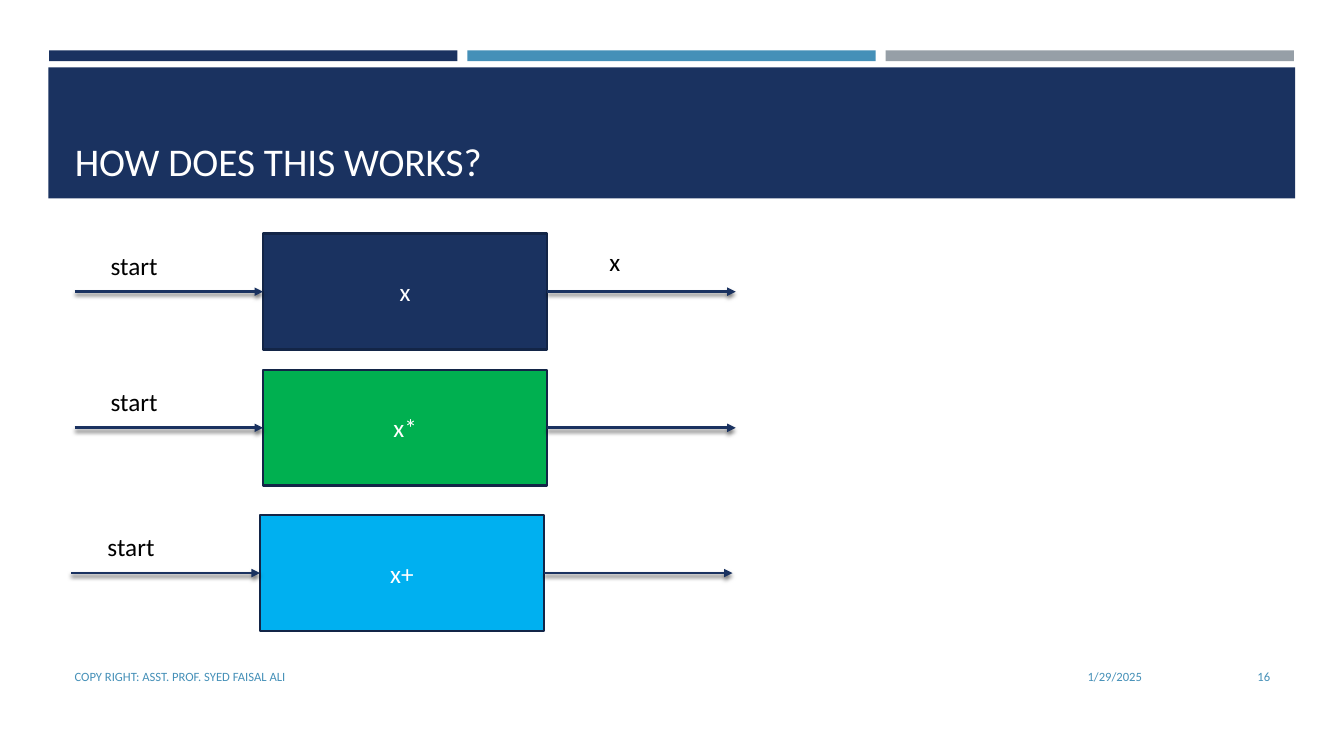
"""Build the slide showing how start, pattern box and output are linked."""
from dataclasses import dataclass

import pptx
import pptx.dml.color
import pptx.enum.shapes
import pptx.enum.text
import pptx.oxml
import pptx.oxml.ns
import pptx.shapes.base
import pptx.shapes.autoshape
import pptx.shapes.connector
import pptx.shapes.group
import pptx.shapes.shapetree
import pptx.text.text
import pptx.util

Cm = pptx.util.Cm
Pt = pptx.util.Pt
PP_ALIGN = pptx.enum.text.PP_ALIGN
MSO_ANCHOR = pptx.enum.text.MSO_ANCHOR

COLORS = {
    "navy": "1A3260",
    "outline": "132547",
    "blue": "4590B8",
    "gray": "969FA7",
    "green": "00B050",
    "sky": "00B0F0",
    "white": "FFFFFF",
    "black": "000000",
}
FONT = "Calibri"
BOX_W, BOX_H = 7.16, 2.92
ARROW_W = 4.75
LABEL_W, LABEL_H = 3.43, 1.02
BAR_LEFT, BAR_PITCH = 1.24, 10.54


@dataclass
class Stage:
    left: float
    top: float
    text: str
    color: str
    output: str = ""


@dataclass
class Footer:
    left: float
    width: float
    text: str
    align: PP_ALIGN


STAGES = [
    Stage(6.63, 5.89, "x", "navy", "x"),
    Stage(6.63, 9.32, "x*", "green"),
    Stage(6.55, 12.98, "x+", "sky"),
]
FOOTERS = [
    Footer(21.13, 7.9, "1/29/2025", PP_ALIGN.RIGHT),
    Footer(1.63, 19.2, "COPY RIGHT: ASST. PROF. SYED FAISAL ALI", PP_ALIGN.LEFT),
    Footer(29.34, 2.92, "16", PP_ALIGN.RIGHT),
]


def rgb(name: str) -> pptx.dml.color.RGBColor:
    """Return the named colour."""
    return pptx.dml.color.RGBColor.from_string(COLORS[name])


def write(shape: pptx.shapes.base.BaseShape, text: str, size: int, color: str,
          align: PP_ALIGN = PP_ALIGN.LEFT, anchor: MSO_ANCHOR = MSO_ANCHOR.TOP) -> None:
    """Put one formatted paragraph in a shape."""
    tf = shape.text_frame
    tf.text = text
    tf.word_wrap = True
    tf.vertical_anchor = anchor
    p = tf.paragraphs[0]
    p.alignment = align
    p.font.size = Pt(size)
    p.font.name = FONT
    p.font.color.rgb = rgb(color)


def add_rect(shapes: pptx.shapes.shapetree.SlideShapes, left: float, top: float,
             width: float, height: float, color: str) -> pptx.shapes.autoshape.Shape:
    """Add a plain filled rectangle."""
    sp = shapes.add_shape(pptx.enum.shapes.MSO_SHAPE.RECTANGLE,
                          Cm(left), Cm(top), Cm(width), Cm(height))
    sp.shadow.inherit = False
    sp.fill.solid()
    sp.fill.fore_color.rgb = rgb(color)
    sp.line.fill.background()
    return sp


def add_label(shapes: pptx.shapes.shapetree.SlideShapes, left: float, top: float,
              text: str) -> None:
    """Add a black label above an arrow."""
    sp = shapes.add_textbox(Cm(left), Cm(top), Cm(LABEL_W), Cm(LABEL_H))
    write(sp, text, 18, "black")


def add_arrow(shapes: pptx.shapes.shapetree.SlideShapes, start: int, end: int,
              y: int) -> pptx.shapes.connector.Connector:
    """Add a horizontal arrow with a soft shadow below it."""
    arrow = shapes.add_connector(pptx.enum.shapes.MSO_CONNECTOR.STRAIGHT, start, y, end, y)
    arrow.line.color.rgb = rgb("navy")
    arrow.line.width = Pt(2)
    ns = pptx.oxml.ns.nsdecls("a")
    arrow.line._get_or_add_ln().append(
        pptx.oxml.parse_xml(f'<a:tailEnd {ns} type="triangle"/>'))
    arrow.element.spPr.append(pptx.oxml.parse_xml(
        f'<a:effectLst {ns}><a:outerShdw blurRad="{Pt(3)}" dist="{Pt(2)}" dir="5400000" '
        f'rotWithShape="0"><a:srgbClr val="{COLORS["black"]}"><a:alpha val="55000"/>'
        '</a:srgbClr></a:outerShdw></a:effectLst>'))
    return arrow


def add_stage(s: pptx.slide.Slide, stage: Stage) -> None:
    """Add one grouped box with its arrows and labels."""
    shapes = s.shapes.add_group_shape().shapes
    box = add_rect(shapes, stage.left, stage.top, BOX_W, BOX_H, stage.color)
    box.line.color.rgb = rgb("outline")
    box.line.width = Pt(1.75)
    write(box, stage.text, 18, "white", PP_ALIGN.CENTER, MSO_ANCHOR.MIDDLE)
    y = box.top + box.height // 2
    right = box.left + box.width
    add_arrow(shapes, box.left - Cm(ARROW_W), box.left, y).end_connect(box, 1)
    add_label(shapes, stage.left - 4.09, stage.top + 0.29, "start")
    add_arrow(shapes, right, right + Cm(ARROW_W), y).begin_connect(box, 3)
    if stage.output:
        add_label(shapes, stage.left + 8.48, stage.top + 0.2, stage.output)


def main() -> None:
    """Build and save the slide."""
    prs = pptx.Presentation()
    prs.slide_width, prs.slide_height = Cm(33.87), Cm(19.05)
    s = prs.slides.add_slide(prs.slide_layouts[5])

    for i, color in enumerate(("navy", "blue", "gray")):
        add_rect(s.shapes, BAR_LEFT + i * BAR_PITCH, 1.27, 10.29, 0.27, color)
    add_rect(s.shapes, 1.22, 1.7, 31.42, 3.3, "navy")

    title = s.shapes.title
    title.element.getparent().append(title.element)
    title.left, title.top, title.width, title.height = Cm(1.63), Cm(1.96), Cm(30.63), Cm(2.82)
    write(title, "HOW DOES THIS WORKS?", 28, "white", anchor=MSO_ANCHOR.BOTTOM)

    for footer in FOOTERS:
        sp = s.shapes.add_textbox(Cm(footer.left), Cm(16.54), Cm(footer.width), Cm(1.02))
        write(sp, footer.text, 9, "blue", footer.align, MSO_ANCHOR.MIDDLE)

    for stage in STAGES:
        add_stage(s, stage)
    prs.save("out.pptx")


if __name__ == "__main__":
    main()
